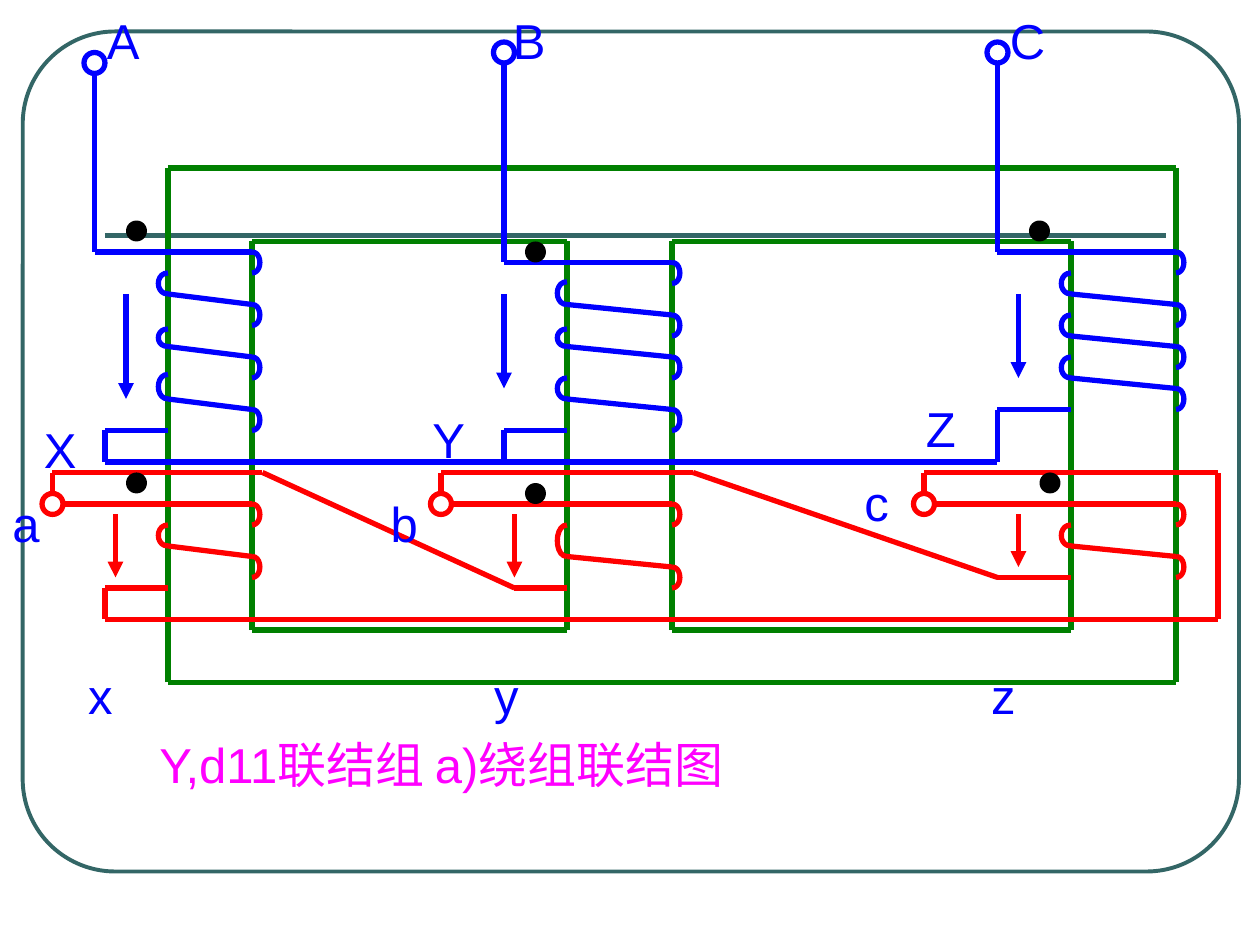
"""Build the Y,d11 transformer winding connection slide."""
from dataclasses import dataclass
from itertools import pairwise

from lxml import etree
from pptx import Presentation
from pptx.dml.color import RGBColor
from pptx.enum import shapes, text
from pptx.oxml import ns
from pptx.util import Pt


@dataclass(frozen=True)
class Theme:
    frame: RGBColor = RGBColor(0x33, 0x66, 0x66)
    core: RGBColor = RGBColor(0x00, 0x80, 0x00)
    primary: RGBColor = RGBColor(0x00, 0x00, 0xFF)
    secondary: RGBColor = RGBColor(0xFF, 0x00, 0x00)
    polarity: RGBColor = RGBColor(0x00, 0x00, 0x00)
    caption: RGBColor = RGBColor(0xFF, 0x00, 0xFF)
    font: str = "Arial"
    text_size: int = 28
    wire: float = 3
    border: float = 2.25


theme = Theme()
presentation = Presentation()
presentation.slide_width, presentation.slide_height = Pt(720), Pt(540)
slide = presentation.slides.add_slide(presentation.slide_layouts[6])


def add_text(content, left, top, width, color=theme.primary, align=text.PP_ALIGN.LEFT, inset=7.2, tabs=()):
    box = slide.shapes.add_textbox(Pt(left), Pt(top), Pt(width), Pt(41))
    frame = box.text_frame
    frame.word_wrap = True
    frame.margin_left, frame.margin_top = Pt(inset), Pt(6)
    paragraph = frame.paragraphs[0]
    paragraph.text = content
    paragraph.alignment = align
    if tabs:
        stops = etree.SubElement(paragraph._p.get_or_add_pPr(), ns.qn("a:tabLst"))
        for position in tabs:
            etree.SubElement(stops, ns.qn("a:tab"), pos=str(Pt(position)), algn="l")
    font = paragraph.runs[0].font
    font.name, font.size = theme.font, Pt(theme.text_size)
    font.color.rgb = color


def add_wire(points, color, arrow=False):
    for start, end in pairwise(points):
        wire = slide.shapes.add_connector(shapes.MSO_CONNECTOR.STRAIGHT, *map(Pt, start + end))
        wire.line.color.rgb = color
        wire.line.width = Pt(theme.wire)
        if arrow:
            etree.SubElement(wire.line._get_or_add_ln(), ns.qn("a:tailEnd"), type="triangle")
        etree.SubElement(wire._element.spPr, ns.qn("a:effectLst"))


border = slide.shapes.add_shape(shapes.MSO_SHAPE.ROUNDED_RECTANGLE, Pt(13), Pt(18), Pt(695), Pt(480))
border.adjustments[0] = 0.11
border.shadow.inherit = False
border.fill.background()
border.line.color.rgb = theme.frame
border.line.width = Pt(theme.border)
add_wire([(60, 134.6), (666, 134.6)], theme.frame)

for left, top, right, bottom in [(96, 96, 672, 390), (144, 138, 324, 360), (384, 138, 612, 360)]:
    add_wire([(left, top), (right, top), (right, bottom), (left, bottom), (left, top)], theme.core)

# Each winding: limb sides, colour, lead-in points, turns as (hook top, turn start), lead-out end, lead-out height
windings = [
    (96, 144, theme.primary, [(54, 42), (54, 144)], [(156, 168), (188, 198), (214, 228)], 60, 246),
    (324, 384, theme.primary, [(288, 36), (288, 150)], [(161, 174), (188, 198), (216, 228)], 288, 246),
    (612, 672, theme.primary, [(570, 36), (570, 144)], [(156, 168), (180, 192), (204, 216)], 570, 234),
    (96, 144, theme.secondary, [(36, 288)], [(300, 312)], 60, 336),
    (324, 384, theme.secondary, [(258, 288)], [(300, 318)], 294, 336),
    (612, 672, theme.secondary, [(534, 288)], [(300, 312)], 570, 330),
]
turn_drop, hook_height, hook_steps = 6, 12, 10
for left, right, color, lead_in, turns, exit_x, exit_y in windings:
    entry_y = lead_in[-1][1]
    add_wire(lead_in + [(right, entry_y)], color)
    hooks = [(right, entry_y, entry_y + hook_height, 4.5)]
    for hook_top, turn_y in turns:
        add_wire([(left, turn_y), (right, turn_y + turn_drop)], color)
        hooks.append((left, hook_top, turn_y, -5.5))
        hooks.append((right, turn_y + turn_drop, turn_y + turn_drop + hook_height, 4.5))
    add_wire([(left, exit_y), (exit_x, exit_y)], color)
    for x, top, bottom, bulge in hooks:
        curve = []
        for step in range(hook_steps + 1):
            t = step / hook_steps
            curve.append((Pt(x + 4 * bulge * t * (1 - t)), Pt(top + (bottom - top) * t * t * (3 - 2 * t))))
        builder = slide.shapes.build_freeform(*curve[0])
        builder.add_line_segments(curve[1:], close=False)
        hook = builder.convert_to_shape()
        hook.shadow.inherit = False
        hook.fill.background()
        hook.line.color.rgb = color
        hook.line.width = Pt(theme.wire)

add_wire([(60, 246), (60, 264), (570, 264), (570, 234)], theme.primary)
add_wire([(288, 246), (288, 264)], theme.primary)
add_wire([(60, 336), (60, 354), (696, 354), (696, 270), (528, 270), (528, 282)], theme.secondary)
add_wire([(570, 330), (396, 270), (252, 270), (252, 282)], theme.secondary)
add_wire([(294, 336), (150, 270), (30, 270), (30, 282)], theme.secondary)

arrows = [
    (72, 168, 228, theme.primary), (288, 168, 222, theme.primary), (582, 168, 216, theme.primary),
    (66, 294, 330, theme.secondary), (294, 294, 330, theme.secondary), (582, 294, 324, theme.secondary),
]
for x, top, bottom, color in arrows:
    add_wire([(x, top), (x, bottom)], color, arrow=True)

circle_size = 12
circles = [
    (theme.primary, False, [(48, 30), (282, 24), (564, 24)]),
    (theme.secondary, False, [(24, 282), (246, 282), (522, 282)]),
    (theme.polarity, True, [(72, 126), (300, 138), (588, 126), (72, 270), (300, 276), (594, 270)]),
]
for color, filled, places in circles:
    for left, top in places:
        circle = slide.shapes.add_shape(
            shapes.MSO_SHAPE.FLOWCHART_CONNECTOR, Pt(left), Pt(top), Pt(circle_size), Pt(circle_size))
        circle.shadow.inherit = False
        if filled:
            circle.fill.solid()
            circle.fill.fore_color.rgb = color
            circle.line.fill.background()
        else:
            circle.fill.background()
            circle.line.color.rgb = color
            circle.line.width = Pt(theme.wire)

phase_tabs = (232, 516)
add_text("A\tB\tC", 54, 0, 588, tabs=phase_tabs)
add_text("x\ty\tz", 36, 374.4, 570, inset=14.4, tabs=phase_tabs)
for label, left, top, width in [("X", 18, 234, 30), ("Y", 240, 228, 24), ("Z", 522, 222, 30), ("a", 0, 276, 24)]:
    add_text(label, left, top, width)
for label, left, top in [("b", 216, 276), ("c", 486, 264)]:
    add_text(label, left, top, 30, align=text.PP_ALIGN.CENTER)
add_text("Y,d11联结组 a)绕组联结图", 84, 414, 498, color=theme.caption)

presentation.save("out.pptx")
